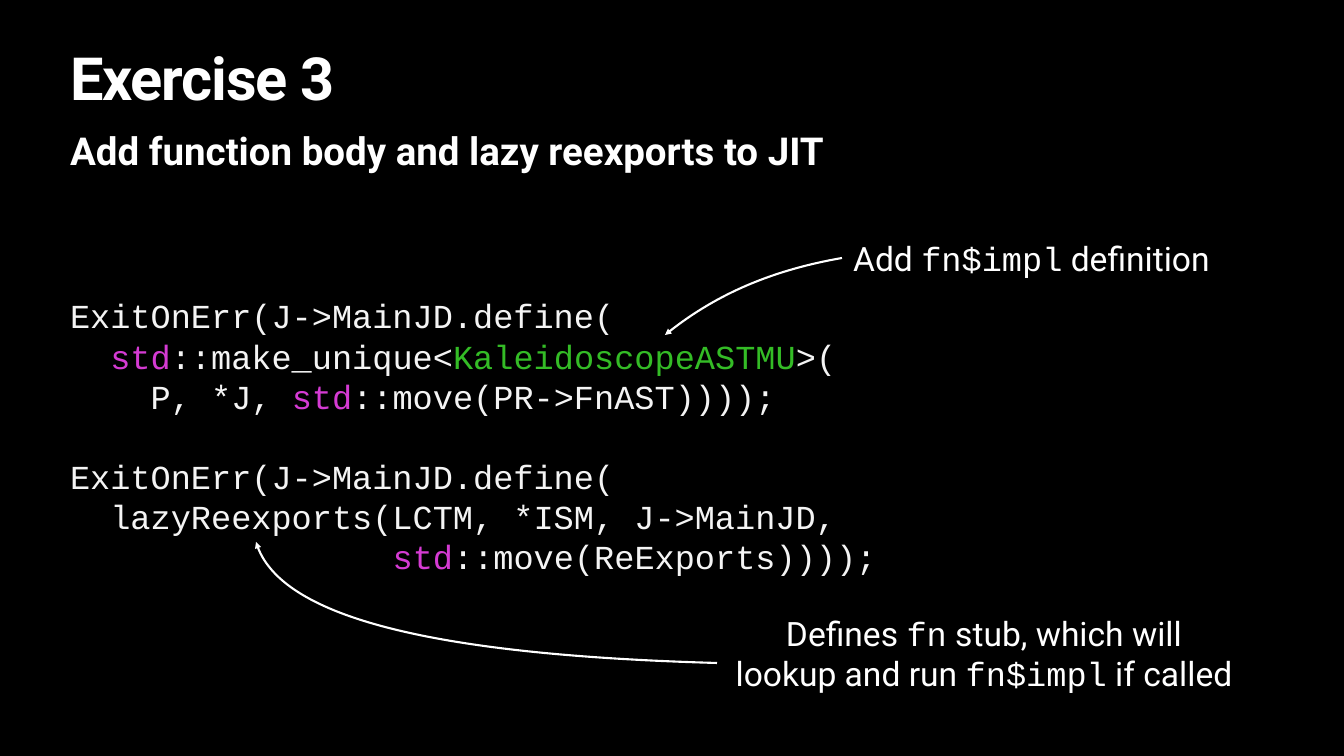
from pptx import Presentation
from pptx.dml.color import RGBColor
from pptx.enum.text import MSO_ANCHOR as Anchor, MSO_AUTO_SIZE as AutoSize, PP_ALIGN as Align
from pptx.oxml import parse_xml
from pptx.oxml.ns import nsdecls, qn
from pptx.util import Pt

PX = 18143
COLORS = {"back": "000000", "white": "FFFFFF", "code": "F4F4F4",
          "namespace": "D53BD3", "type": "34BC26"}
STYLES = {
    "title": ("Roboto", 85, True, "white"),
    "subtitle": ("Roboto", 55, True, "white"),
    "label": ("Roboto", 48, False, "white"),
    "name": ("Courier New", 48, False, "white"),
    "code": ("Courier New", 48, False, "code"),
    "namespace": ("Courier New", 48, False, "namespace"),
    "type": ("Courier New", 48, False, "type"),
}
CODE_LINE = Pt(57.4)

TITLE = [[("Exercise 3", "title")]]
SUBTITLE = [[("Add function body and lazy reexports to JIT", "subtitle")]]
CODE = [
    [("ExitOnErr(J->MainJD.define(\n  ", "code"), ("std", "namespace"),
     ("::make_unique<", "code"), ("KaleidoscopeASTMU", "type"),
     (">(\n    P, *J, ", "code"), ("std", "namespace"),
     ("::move(PR->FnAST))));", "code")],
    [("ExitOnErr(J->MainJD.define(", "code")],
    [("  lazyReexports(LCTM, *ISM, J->MainJD,\n                ", "code"),
     ("std", "namespace"), ("::move(ReExports))));", "code")],
]
CALLOUTS = [
    ((849, 235, 365, 47),
     [[("Add ", "label"), ("fn$impl", "name"), (" definition", "label")]],
     [(842, 258), (773, 270), (714, 295), (665, 335)]),
    ((730, 608, 508, 90),
     [[("Defines ", "label"), ("fn", "name"), (" stub, which will\nlookup and run ", "label"),
       ("fn$impl", "name"), (" if called", "label")]],
     [(717, 663), (430, 655), (277, 615), (256, 542)]),
]


def color(name):
    return RGBColor.from_string(COLORS[name])


def write(box, paragraphs, anchor=Anchor.TOP, align=Align.LEFT, inset=3, wrap=True):
    frame = box.text_frame
    frame.auto_size = AutoSize.NONE if wrap else AutoSize.SHAPE_TO_FIT_TEXT
    frame.word_wrap = wrap
    frame.vertical_anchor = anchor
    frame.margin_left = frame.margin_right = inset * PX
    frame.margin_top = frame.margin_bottom = inset * PX
    for index, pieces in enumerate(paragraphs):
        para = frame.add_paragraph() if index else frame.paragraphs[0]
        para.alignment = align
        para.space_before = para.space_after = Pt(0)
        if box.is_placeholder:
            properties = para._p.get_or_add_pPr()
            properties.set("marL", "0")
            properties.set("indent", "0")
            properties.append(parse_xml(f"<a:buNone {nsdecls('a')}/>"))
        for text, style in pieces:
            font_name, size, bold, ink = STYLES[style]
            for number, line in enumerate(text.split("\n")):
                if number:
                    para.add_line_break()
                span = para.add_run()
                span.text = line
                span.font.name = font_name
                span.font.size = Pt(size)
                span.font.bold = bold
                span.font.color.rgb = color(ink)
    return frame.paragraphs


def place(box, left, top, width, height):
    box.left, box.top = left * PX, top * PX
    box.width, box.height = width * PX, height * PX


def draw_arrow(page, points):
    builder = page.shapes.build_freeform(*points[0], scale=PX)
    builder.add_line_segments(points[1:], close=False)
    arrow = builder.convert_to_shape()
    arrow.shadow.inherit = False
    arrow.fill.background()
    arrow.line.color.rgb = color("white")
    arrow.line.width = Pt(3)
    arrow.line._get_or_add_ln().append(parse_xml(f'<a:tailEnd {nsdecls("a")} type="triangle"/>'))
    outline = next(arrow._element.iter(qn("a:path")))
    curve = parse_xml(f"<a:cubicBezTo {nsdecls('a')}/>")
    for segment in outline.findall(qn("a:lnTo")):
        curve.append(segment[0])
        outline.remove(segment)
    outline.append(curve)


def main():
    deck = Presentation()
    deck.slide_width, deck.slide_height = 1344 * PX, 756 * PX
    page = deck.slides.add_slide(deck.slide_layouts[3])
    page.background.fill.solid()
    page.background.fill.fore_color.rgb = color("back")

    title, subtitle, code = list(page.placeholders)[:3]
    place(title, 67, 52, 1211, 79)
    place(subtitle, 67, 124, 1211, 51)
    place(code, 67, 218, 1211, 436)

    heading = write(title, TITLE)[0]
    heading.line_spacing = 0.8
    heading.runs[0].font._element.set("spc", "-170")
    write(subtitle, SUBTITLE)
    code_paragraphs = write(code, CODE, Anchor.MIDDLE)
    for para in code_paragraphs:
        para.line_spacing = CODE_LINE
    code_paragraphs[1].space_before = CODE_LINE

    for area, label, points in CALLOUTS:
        box = page.shapes.add_textbox(*(length * PX for length in area))
        write(box, label, Anchor.MIDDLE, Align.CENTER, wrap=False)
        draw_arrow(page, points)

    deck.save("out.pptx")


if __name__ == "__main__":
    main()
